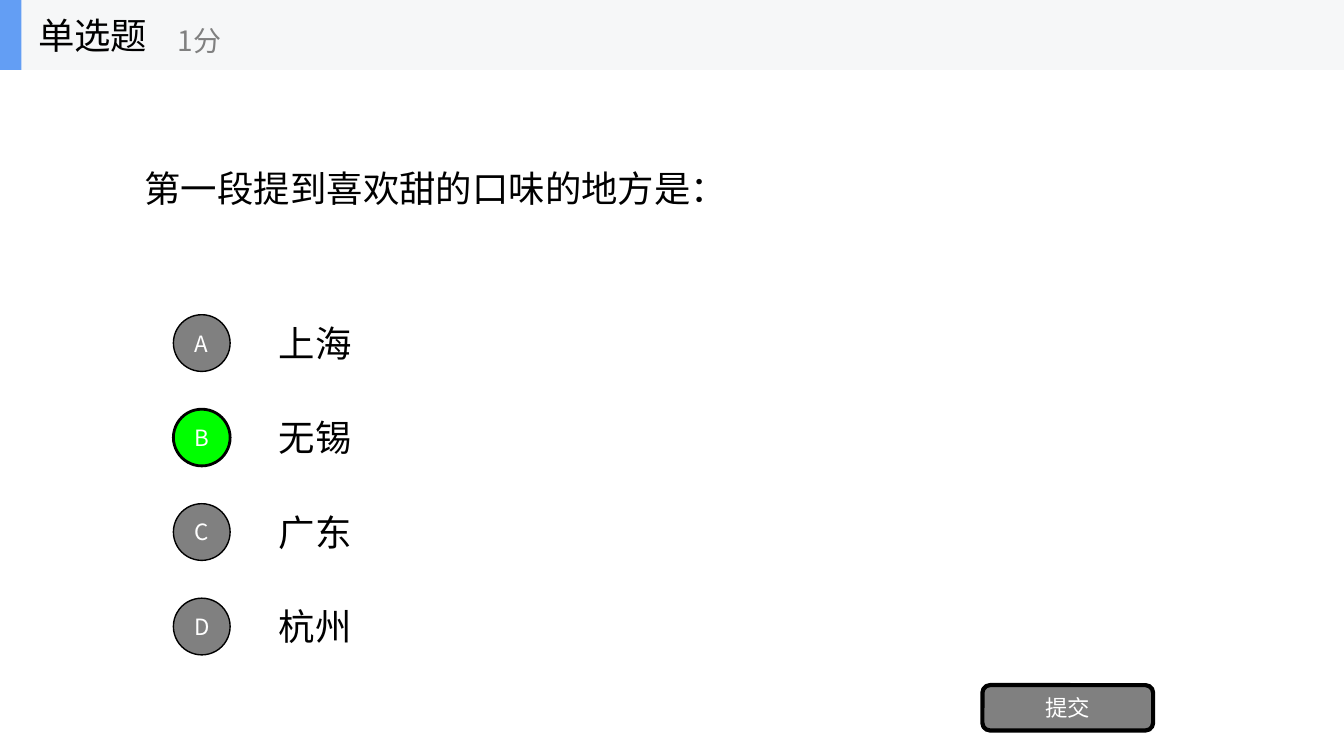
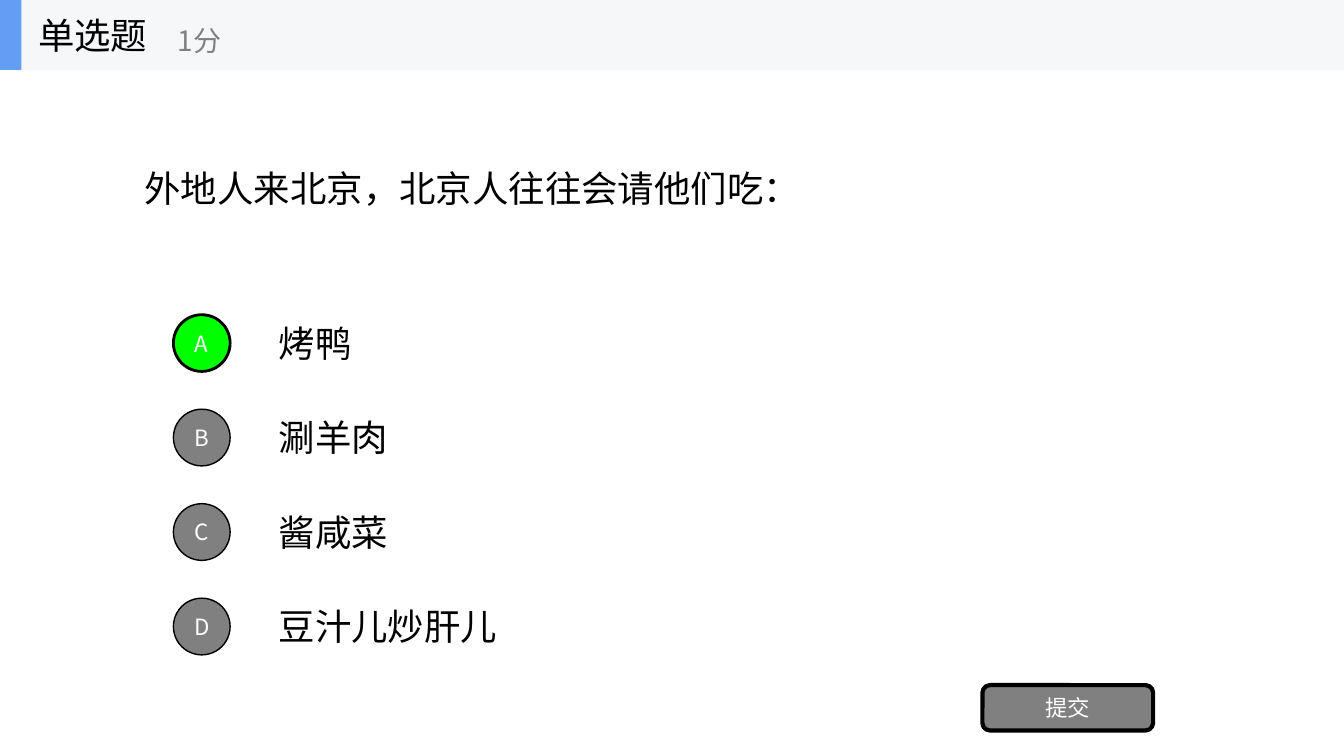
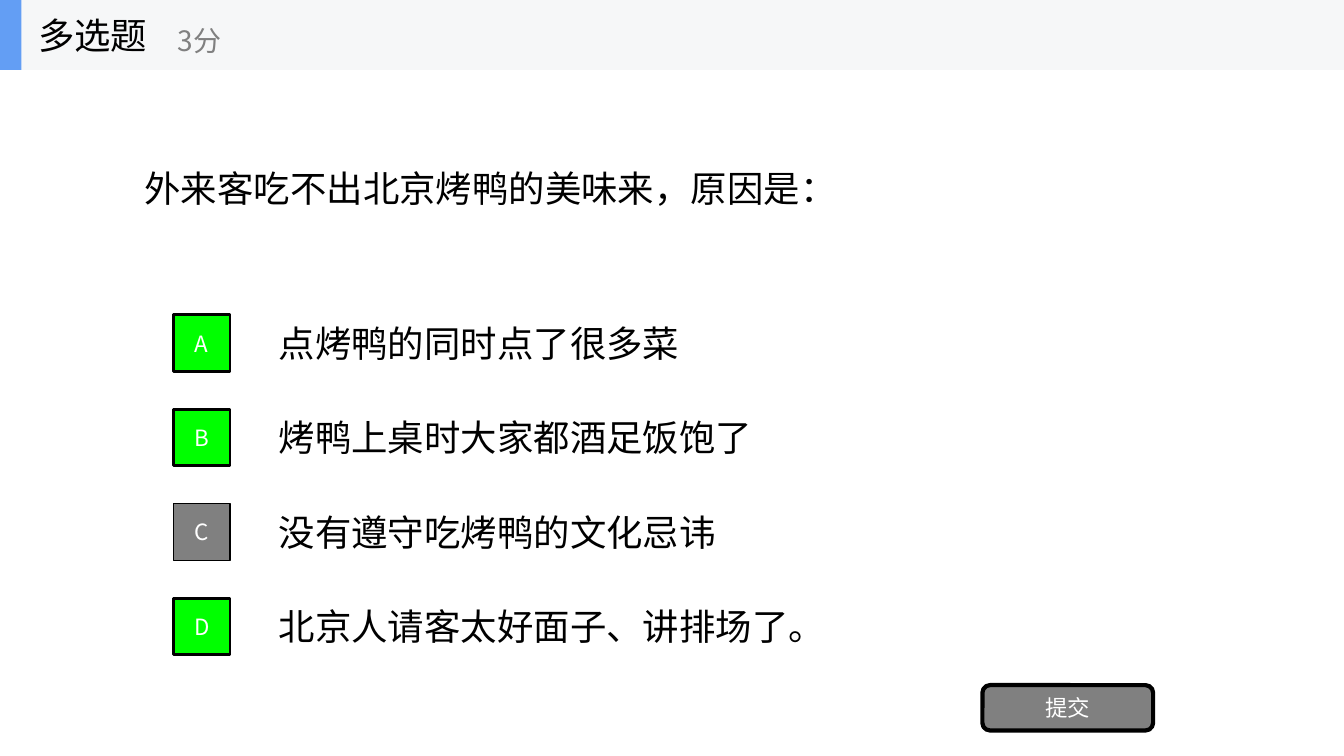
from lxml import etree
from pptx import Presentation
from pptx import util as u
from pptx.dml.color import RGBColor
from pptx.enum import shapes, text
from pptx.oxml.ns import qn

FONT = "Noto Sans CJK SC"
BLACK = RGBColor(0x00, 0x00, 0x00)
WHITE = RGBColor(0xFF, 0xFF, 0xFF)
GREY = RGBColor(0x80, 0x80, 0x80)
GREEN = RGBColor(0x00, 0xFF, 0x00)
BLUE = RGBColor(0x63, 0x9E, 0xF4)
BAND = RGBColor(0xF6, 0xF7, 0xF8)
LEFT, CENTER = text.PP_ALIGN.LEFT, text.PP_ALIGN.CENTER
ROUND = shapes.MSO_SHAPE.OVAL
SQUARE = shapes.MSO_SHAPE.RECTANGLE

prs = Presentation()
prs.slide_width, prs.slide_height = u.Inches(13.33), u.Inches(7.5)

# Grid: ten columns by eight rows
COL, ROW = prs.slide_width / 10, prs.slide_height / 8
BAND_H = 0.74 * ROW


def write(sp, string, size, color, align=LEFT, wrap=True):
    tf = sp.text_frame
    tf.text = string
    tf.word_wrap = wrap
    tf.auto_size = text.MSO_AUTO_SIZE.NONE
    tf.vertical_anchor = text.MSO_ANCHOR.MIDDLE
    p = tf.paragraphs[0]
    p.alignment = align
    r = p.runs[0]
    r.font.name, r.font.size, r.font.color.rgb = FONT, u.Pt(size), color
    etree.SubElement(r.font._element, qn("a:ea"), typeface=FONT)


def box(parent, kind, left, top, width, height, fill, line=0):
    sp = parent.add_shape(kind, int(left), int(top), int(width), int(height))
    sp.shadow.inherit = False
    sp.fill.solid()
    sp.fill.fore_color.rgb = fill
    if line:
        sp.line.color.rgb, sp.line.width = BLACK, u.Pt(line)
    else:
        sp.line.fill.background()
    return sp


# Question position, shared through the layout
layout = prs.slide_layouts.get_by_name("Title Only")
question = layout.placeholders[0]
question.left, question.top = int(COL), int(BAND_H)
question.width, question.height = int(8 * COL), int(2.5 * ROW)

# Kind, score, question, badge shape, correct letters, options
quiz = [
    ("单选题", "1分", "第一段提到喜欢甜的口味的地方是：", ROUND, "B",
     ["上海", "无锡", "广东", "杭州"]),
    ("单选题", "1分", "外地人来北京，北京人往往会请他们吃：", ROUND, "A",
     ["烤鸭", "涮羊肉", "酱咸菜", "豆汁儿炒肝儿"]),
    ("多选题", "3分", "外来客吃不出北京烤鸭的美味来，原因是：", SQUARE, "ABD",
     ["点烤鸭的同时点了很多菜", "烤鸭上桌时大家都酒足饭饱了",
      "没有遵守吃烤鸭的文化忌讳", "北京人请客太好面子、讲排场了。"]),
]

for kind, score, ask, badge_shape, correct, options in quiz:
    slide = prs.slides.add_slide(layout)
    write(slide.shapes.title, ask, 26, BLACK)

    # Options with lettered badges
    for i, (letter, option) in enumerate(zip("ABCD", options)):
        top = (3.25 + i) * ROW
        sp = slide.shapes.add_textbox(int(2 * COL), int(top), int(7 * COL), int(0.75 * ROW))
        write(sp, option, 26, BLACK)
        fill, line = (GREEN, 2) if letter in correct else (GREY, 1)
        sp = box(slide.shapes, badge_shape, 1.29 * COL, top + 0.08 * ROW,
                 0.6 * ROW, 0.6 * ROW, fill, line)
        write(sp, letter, 16, WHITE, CENTER)

    # Submit button
    sp = box(slide.shapes, shapes.MSO_SHAPE.ROUNDED_RECTANGLE, 7.31 * COL, 7.25 * ROW,
             1.27 * COL, 0.48 * ROW, GREY, 3)
    write(sp, "提交", 16, WHITE, CENTER)

    # Header band with question kind and score
    header = slide.shapes.add_group_shape().shapes
    box(header, SQUARE, 0, 0, prs.slide_width, BAND_H, BAND)
    box(header, SQUARE, 0, 0, 0.16 * COL, BAND_H, BLUE)
    sp = header.add_textbox(int(0.21 * COL), 0, int(1.56 * COL), int(BAND_H))
    write(sp, kind, 26, BLACK, wrap=False)
    sp = header.add_textbox(int(1.25 * COL), int(0.13 * ROW), int(1.88 * COL), int(0.6 * ROW))
    write(sp, score, 20, GREY, wrap=False)

prs.save("out.pptx")
